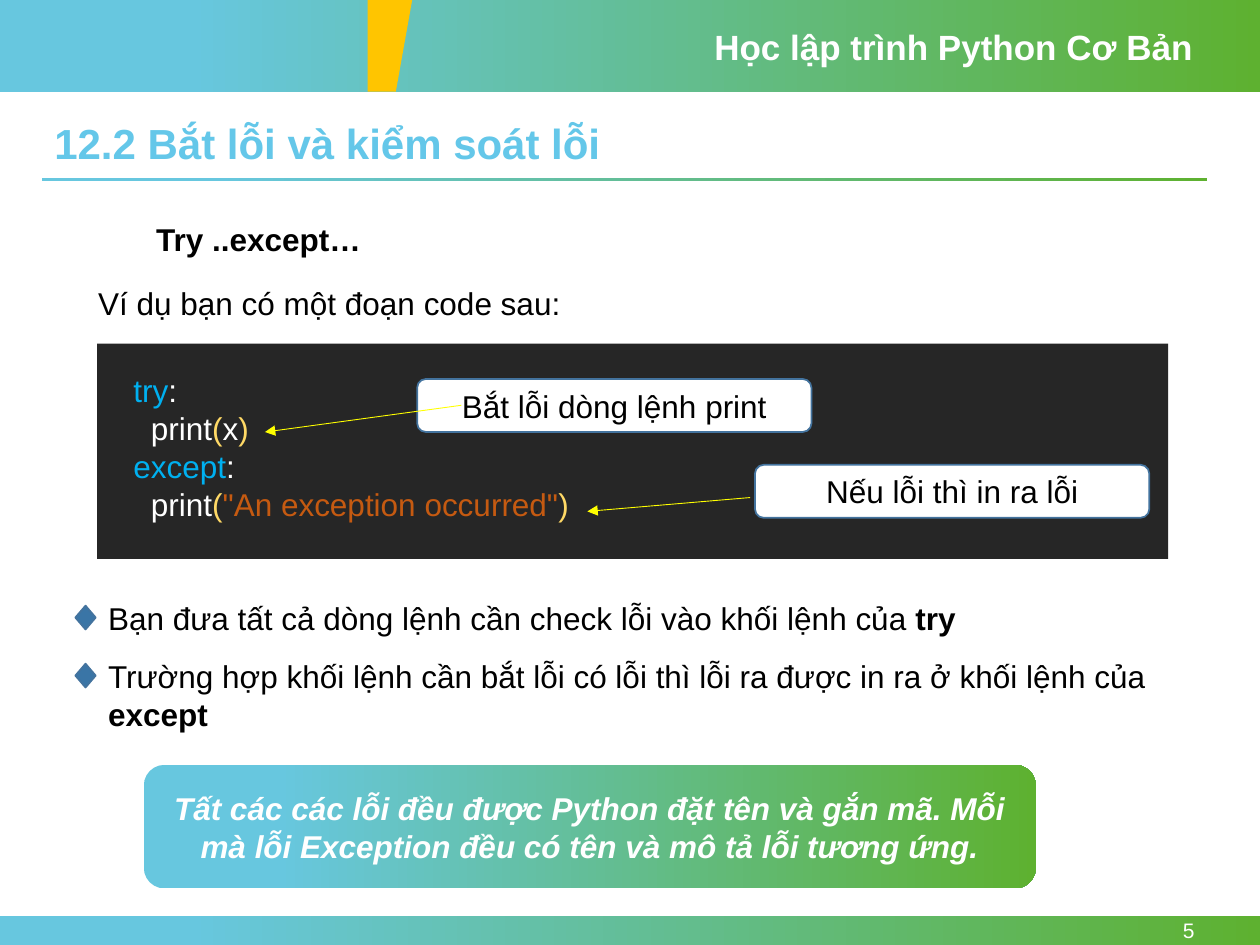
from lxml.etree import SubElement
from pptx import Presentation
from pptx.dml.color import RGBColor
from pptx.enum.shapes import MSO_CONNECTOR, MSO_SHAPE
from pptx.enum.text import MSO_ANCHOR, MSO_AUTO_SIZE, PP_ALIGN
from pptx.oxml.ns import qn
from pptx.util import Cm, Pt

COLORS = {
    "sky": "67C7DF", "green": "5EB130", "amber": "FFC500", "heading": "64C7E9",
    "white": "FFFFFF", "black": "000000", "panel": "262626", "outline": "43739E",
    "diamond": "3A75A6", "arrow": "FFFF00", "keyword": "00B0F0",
    "bracket": "FFD966", "string": "C55A11",
}
FONT = "Arial"
SLIDE_WIDTH, SLIDE_HEIGHT = 25.4, 19.05
CODE_LINES = [
    [("try", "keyword"), (":", "white")],
    [("  print", "white"), ("(", "bracket"), ("x", "white"), (")", "bracket")],
    [("except", "keyword"), (":", "white")],
    [("  print", "white"), ("(", "bracket"),
     ('"An exception occurred"', "string"), (")", "bracket")],
]
BULLETS = [
    (0, 1.02, "Bạn đưa tất cả dòng lệnh cần check lỗi vào khối lệnh của ", "try"),
    (1.17, 1.8, "Trường hợp khối lệnh cần bắt lỗi có lỗi thì lỗi ra được in ra "
     "ở khối lệnh của ", "except"),
]


def rgb(name):
    return RGBColor.from_string(COLORS[name])


def style_run(run, color="black", size=18, bold=False, italic=False):
    font = run.font
    font.name, font.size, font.bold, font.italic = FONT, Pt(size), bold, italic
    font.color.rgb = rgb(color)


def write(shape, text, align=PP_ALIGN.LEFT, anchor=MSO_ANCHOR.TOP, **style):
    text_frame = shape.text_frame
    text_frame.word_wrap = True
    text_frame.vertical_anchor = anchor
    text_frame.text = text
    paragraph = text_frame.paragraphs[0]
    paragraph.alignment = align
    for run in paragraph.runs:
        style_run(run, **style)
    return paragraph


def add_text(slide, box, text, **options):
    shape = slide.shapes.add_textbox(*map(Cm, box))
    return write(shape, text, **options)


def paint(shape, fill, line=None):
    shape.shadow.inherit = False
    if fill == "gradient":
        shape.fill.gradient()
        shape.fill.gradient_angle = 0
        stops = zip(shape.fill.gradient_stops, (0.15, 1), ("sky", "green"))
        for stop, position, color in stops:
            stop.position = position
            stop.color.rgb = rgb(color)
    else:
        shape.fill.solid()
        shape.fill.fore_color.rgb = rgb(fill)
    if line:
        shape.line.color.rgb = rgb(line)
        shape.line.width = Pt(1)
    else:
        shape.line.fill.background()


def add_box(slide, kind, box, fill, line=None):
    shape = slide.shapes.add_shape(kind, *map(Cm, box))
    paint(shape, fill, line)
    return shape


def add_arrow(slide, start, end):
    connector = slide.shapes.add_connector(
        MSO_CONNECTOR.STRAIGHT, *map(Cm, start + end))
    connector.line.color.rgb = rgb("arrow")
    connector.line.width = Pt(0.5)
    SubElement(connector.line._get_or_add_ln(), qn("a:tailEnd"), type="triangle")
    SubElement(connector._element.spPr, qn("a:effectLst"))


def build_header(slide, left, top, width, height):
    add_box(slide, MSO_SHAPE.RECTANGLE, (left, top, width, height), "gradient")
    wedge_left, wedge_right = left + 7.41, left + 8.31
    builder = slide.shapes.build_freeform(Cm(wedge_left), Cm(top))
    builder.add_line_segments([
        (Cm(wedge_right), Cm(top)),
        (Cm(wedge_right - 0.33), Cm(top + height)),
        (Cm(wedge_left), Cm(top + height)),
    ])
    paint(builder.convert_to_shape(), "amber")
    add_text(slide, (left + 14.15, top + 0.38, 10.3, 1.12),
             "Học lập trình Python Cơ Bản", color="white", size=20, bold=True)


def build_footer(slide, left, top, width, height):
    add_box(slide, MSO_SHAPE.RECTANGLE, (left, top, width, height), "gradient")
    add_text(slide, (left + 22, top, 2.33, height), "5", color="white", size=12,
             align=PP_ALIGN.RIGHT, anchor=MSO_ANCHOR.MIDDLE)


def build_title(slide, left, top, width, height):
    title = slide.shapes.title
    title.left, title.top, title.width, title.height = map(
        Cm, (left, top, width, height))
    paragraph = write(title, "12.2 Bắt lỗi và kiểm soát lỗi",
                      color="heading", size=24, bold=True)
    paragraph.line_spacing = 0.9
    title.text_frame.auto_size = MSO_AUTO_SIZE.NONE
    add_box(slide, MSO_SHAPE.RECTANGLE, (left, top + 1.22, width, 0.07), "gradient")


def build_intro(slide, left, top, width):
    add_text(slide, (left + 1.17, top, width - 3.91, 1.02), "Try ..except…", bold=True)
    add_text(slide, (left, top + 1.29, width, 1.02), "Ví dụ bạn có một đoạn code sau:")


def build_code_panel(slide, left, top, width, height):
    add_box(slide, MSO_SHAPE.RECTANGLE, (left, top, width, height), "panel")
    paragraph = add_text(slide, (left + 0.48, top + 0.43, width - 1, 3.33), "")
    for index, line in enumerate(CODE_LINES):
        if index:
            paragraph.add_line_break()
        for text, color in line:
            run = paragraph.add_run()
            run.text = text
            style_run(run, color)
    callouts = [
        ("Bắt lỗi dòng lệnh print", (6.45, 0.71), (7.34, 1.24), (3.38, 1.78)),
        ("Nếu lỗi thì in ra lỗi", (13.26, 2.44), (13.16, 3.1), (9.88, 3.38)),
    ]
    for text, (x, y), start, end in callouts:
        callout = add_box(slide, MSO_SHAPE.ROUNDED_RECTANGLE,
                          (left + x, top + y, 7.95, 1.07), "white", "outline")
        write(callout, text, align=PP_ALIGN.CENTER, anchor=MSO_ANCHOR.MIDDLE)
        add_arrow(slide, (left + start[0], top + start[1]),
                  (left + end[0], top + end[1]))


def build_bullets(slide, left, top, width):
    for offset, height, text, keyword in BULLETS:
        add_box(slide, MSO_SHAPE.FLOWCHART_DECISION,
                (left, top + offset + 0.25, 0.41, 0.48), "diamond", "outline")
        paragraph = add_text(
            slide, (left + 0.41, top + offset, width - 0.41, height), text)
        run = paragraph.add_run()
        run.text = keyword
        style_run(run, bold=True)


def build_banner(slide, left, top, width, height):
    banner = add_box(slide, MSO_SHAPE.ROUNDED_RECTANGLE,
                     (left, top, width, height), "gradient")
    write(banner, "Tất các các lỗi đều được Python đặt tên và gắn mã. Mỗi mà lỗi "
          "Exception đều có tên và mô tả lỗi tương ứng.", align=PP_ALIGN.CENTER,
          anchor=MSO_ANCHOR.MIDDLE, color="white", bold=True, italic=True)


def main():
    presentation = Presentation()
    presentation.slide_width = Cm(SLIDE_WIDTH)
    presentation.slide_height = Cm(SLIDE_HEIGHT)
    slide = presentation.slides.add_slide(presentation.slide_layouts[5])
    build_header(slide, 0, 0, SLIDE_WIDTH, 1.85)
    build_footer(slide, 0, SLIDE_HEIGHT - 0.58, SLIDE_WIDTH, 0.58)
    build_title(slide, 0.84, 2.36, 23.5, 1.17)
    build_intro(slide, 1.73, 4.32, 21.77)
    build_code_panel(slide, 1.96, 6.93, 21.59, 4.34)
    build_bullets(slide, 1.52, 11.96, 22.69)
    build_banner(slide, 2.9, 15.42, 17.98, 2.49)
    presentation.save("out.pptx")


if __name__ == "__main__":
    main()
